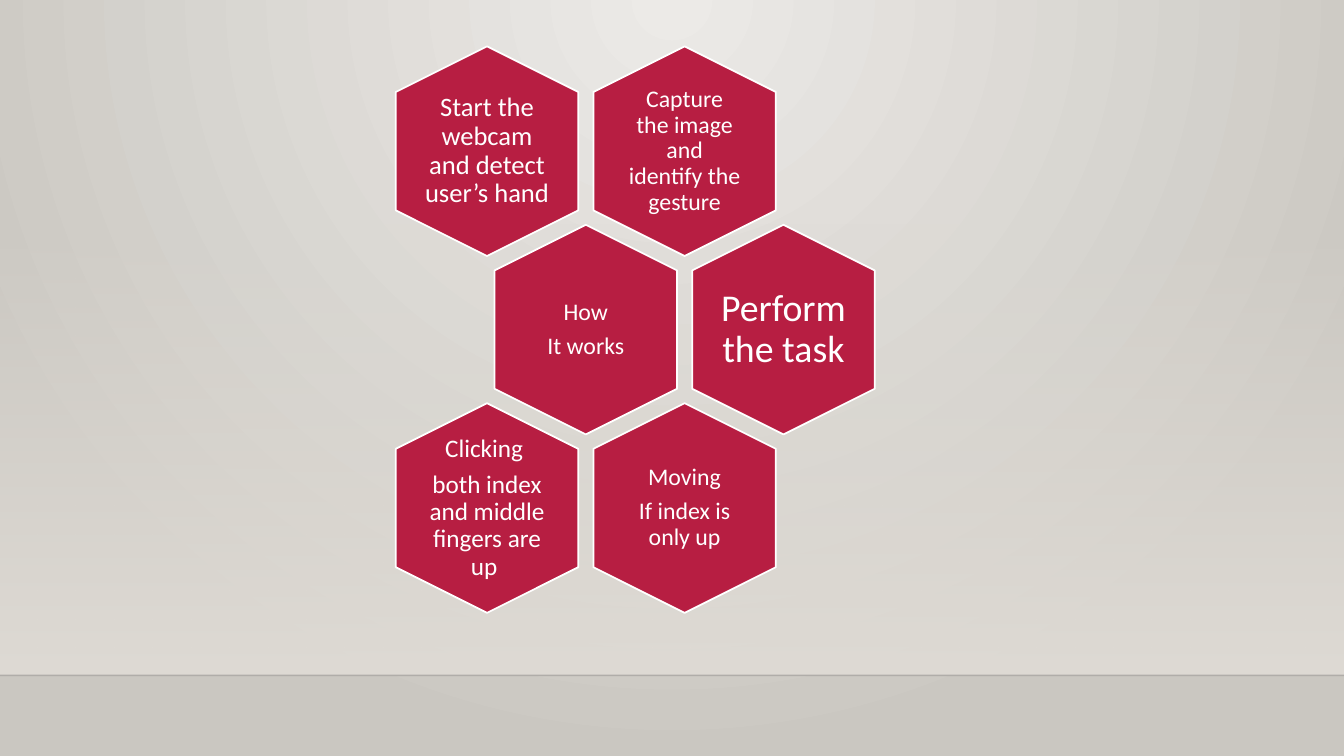
from dataclasses import dataclass

from lxml import etree
from pptx import Presentation
from pptx.dml.color import RGBColor
from pptx.enum.shapes import MSO_CONNECTOR, MSO_SHAPE
from pptx.enum.text import MSO_ANCHOR, PP_ALIGN
from pptx.oxml import parse_xml
from pptx.oxml.ns import nsdecls, qn
from pptx.util import Inches, Pt

HEXAGON, RECTANGLE = MSO_SHAPE.HEXAGON, MSO_SHAPE.RECTANGLE
STRAIGHT = MSO_CONNECTOR.STRAIGHT
MIDDLE, CENTER = MSO_ANCHOR.MIDDLE, PP_ALIGN.CENTER
SLIDE_W, SLIDE_H = 13.33, 7.5


@dataclass(frozen=True)
class Theme:
    font: str = "Calibri"
    small: int = 17
    clicking: int = 18
    start: int = 19
    large: int = 27
    hexagon: str = "B71E42"
    light: str = "FFFFFF"
    glow: str = "ECEAE7"
    edge: str = "CAC7C1"
    wall: str = "DFDBD5"
    floor_line: str = "000001"


def gradient(stops, direction):
    """Build a gradient fill from (position, colour, opacity) in percent."""
    marks = "".join(
        f'<a:gs pos="{pos * 1000}"><a:srgbClr val="{color}">'
        f'<a:alpha val="{opacity * 1000}"/></a:srgbClr></a:gs>'
        for pos, color, opacity in stops)
    return parse_xml(f'<a:gradFill {nsdecls("a")} rotWithShape="1">'
                     f'<a:gsLst>{marks}</a:gsLst>{direction}</a:gradFill>')


def swap_solid_fill(parent, fill):
    parent.replace(parent.find(qn("a:solidFill")), fill)


class HoneycombSlide:
    def __init__(self, slide, theme):
        self.slide, self.theme = slide, theme

    def background(self):
        self.slide.background.fill.solid()
        properties = next(self.slide.element.iter(qn("p:bgPr")))
        direction = ('<a:path path="circle"><a:fillToRect l="43000" t="0" '
                     'r="43000" b="100000"/></a:path>')
        swap_solid_fill(properties, gradient(
            [(0, self.theme.glow, 100), (100, self.theme.edge, 100)], direction))

    def shape(self, kind, left, top, width, height, color):
        shape = self.slide.shapes.add_shape(
            kind, Inches(left), Inches(top), Inches(width), Inches(height))
        shape.shadow.inherit = False
        shape.fill.solid()
        shape.fill.fore_color.rgb = RGBColor.from_string(color)
        return shape

    def wall(self, top, height):
        wall = self.shape(RECTANGLE, 0, top, SLIDE_W, height, self.theme.wall)
        wall.line.fill.background()
        swap_solid_fill(wall.element.spPr, gradient(
            [(0, self.theme.wall, 0), (100, self.theme.wall, 100)],
            '<a:lin ang="5400000" scaled="0"/>'))

    def floor_line(self, y):
        edge = self.slide.shapes.add_connector(
            STRAIGHT, 0, Inches(y), Inches(SLIDE_W), Inches(y))
        edge.line.width = Pt(1)
        edge.line.color.rgb = RGBColor.from_string(self.theme.floor_line)
        color = next(edge.element.spPr.iter(qn("a:srgbClr")))
        etree.SubElement(color, qn("a:alpha"), val="20000")
        etree.SubElement(edge.element.spPr, qn("a:effectLst"))

    def hexagon(self, center_x, center_y):
        length, breadth = 2.08, 1.81
        cell = self.shape(HEXAGON, center_x - length / 2, center_y - breadth / 2,
                          length, breadth, self.theme.hexagon)
        cell.rotation = 90
        cell.adjustments[0] = 0.25
        cell.line.color.rgb = RGBColor.from_string(self.theme.light)
        cell.line.width = Pt(1.25)

    def label(self, center_x, center_y, lines, size, inset):
        width, height = 1.25, 1.43
        label = self.slide.shapes.add_textbox(
            Inches(center_x - width / 2), Inches(center_y - height / 2),
            Inches(width), Inches(height))
        frame = label.text_frame
        frame.word_wrap = True
        frame.vertical_anchor = MIDDLE
        frame.margin_left = frame.margin_right = Inches(inset)
        frame.margin_top = frame.margin_bottom = Inches(inset)
        for index, line in enumerate(lines):
            paragraph = frame.add_paragraph() if index else frame.paragraphs[0]
            paragraph.alignment = CENTER
            paragraph.line_spacing = 0.9
            # Space after is a share of the type size
            paragraph.space_after = Pt(0)
            spacing = next(label.element.iter(qn("a:p")) if not index
                           else iter(frame.paragraphs[index]._p.iter(qn("a:p"))))
            after = next(spacing.iter(qn("a:spcAft")))
            after.remove(after[0])
            etree.SubElement(after, qn("a:spcPct"), val="35000")
            run = paragraph.add_run()
            run.text = line
            run.font.name = self.theme.font
            run.font.size = Pt(size)
            run.font.color.rgb = RGBColor.from_string(self.theme.light)


def main():
    presentation = Presentation()
    presentation.slide_width = Inches(SLIDE_W)
    presentation.slide_height = Inches(SLIDE_H)
    theme = Theme()
    page = HoneycombSlide(
        presentation.slides.add_slide(presentation.slide_layouts[6]), theme)

    # Backdrop
    page.background()
    page.wall(2.21, 4.49)
    page.floor_line(6.7)

    # Honeycomb: row, column, lines, type size, inset
    steps = [
        (0, 1, ["Capture the image and identify the gesture"], theme.small, 0.07),
        (0, 0, ["Start the webcam and detect user’s hand"], theme.start, 0),
        (1, 0, ["How", "It works"], theme.small, 0.07),
        (1, 1, ["Perform the task "], theme.large, 0),
        (2, 1, ["Moving", "If index is only up"], theme.small, 0.07),
        (2, 0, ["Clicking ", "both index and middle fingers are up "],
         theme.clicking, 0),
    ]
    first_x, first_y, column_step, row_step = 4.83, 1.5, 1.96, 1.77
    for row, column, lines, size, inset in steps:
        # Odd rows sit half a column to the right
        x = first_x + (column + row % 2 / 2) * column_step
        y = first_y + row * row_step
        page.hexagon(x, y)
        page.label(x, y, lines, size, inset)

    presentation.save("out.pptx")


if __name__ == "__main__":
    main()
